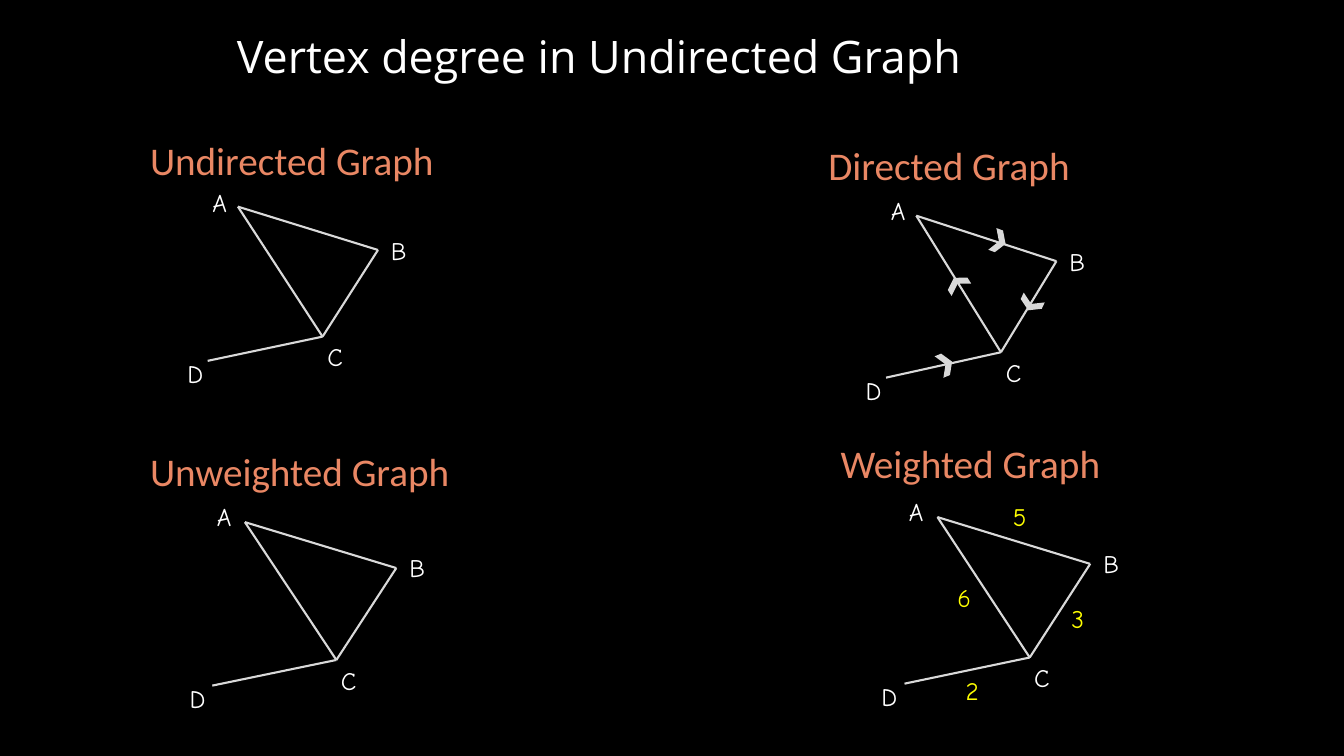
import pptx
import pptx.util
import pptx.dml.color
import pptx.enum.shapes
import pptx.enum.text
import pptx.oxml.ns
import lxml.etree

RGBColor = pptx.dml.color.RGBColor
BLACK = RGBColor(0x00, 0x00, 0x00)
WHITE = RGBColor(0xFF, 0xFF, 0xFF)
GREY = RGBColor(0xD9, 0xD9, 0xD9)
ORANGE = RGBColor(0xE9, 0x87, 0x64)
YELLOW = RGBColor(0xFF, 0xFF, 0x00)

# Grid of square cells covering the slide
COLS, ROWS = 133.33, 75
WIDTH, HEIGHT = pptx.util.Inches(13.33), pptx.util.Inches(7.5)

# Text formats
TITLE = {"name": "Open Sans", "size": pptx.util.Pt(32), "color": WHITE}
HEADING = {"name": "Calibri", "size": pptx.util.Pt(28), "color": ORANGE}
VERTEX = {"name": "Comic Neue", "size": pptx.util.Pt(18), "color": WHITE}
WEIGHT = {**VERTEX, "color": YELLOW}

# Graph geometry in cells, measured from vertex A
VERTICES = {"A": (0, 0), "B": (13.9, 4.3), "C": (8.4, 12.9), "D": (-3, 15.3)}
LABELS = {"A": (-3.5, -2.4), "B": (14.2, 2.4), "C": (7.9, 12.9), "D": (-6, 14.6)}
EDGES = ["AB", "AC", "BC", "DC"]
LABEL_SIZE = (4, 3.7)

# Heading, heading box, vertex A, horizontal and vertical scale
GRAPHS = [
    ("Undirected Graph", (13.9, 13, 31.4, 5.3), (23.6, 20.5), (1, 1)),
    ("Unweighted Graph", (13.9, 43.9, 33.7, 5.7), (24.3, 51.8), (1.08, 1.06)),
    ("Directed Graph", (81.2, 13.5, 31.4, 5.7), (90.9, 21.4), (1, 1.05)),
    ("Weighted Graph", (82.4, 43.1, 34.2, 5.7), (93, 51.3), (1.09, 1.08)),
]

# Marks on the edges: offset from vertex A, then rotation or weight
ARROWS = [(7.5, 1.4, 20.6), (10.7, 7.6, 115), (3.4, 5.6, 237.6), (2.2, 13.6, 337.7)]
WEIGHTS = [(6.5, -2.1, "5"), (1, 6, "6"), (12.3, 8.1, "3"), (1.8, 15.2, "2")]


class Deck:
    """Holds the style and the current slide."""

    def __init__(self):
        self.prs = pptx.Presentation()
        self.prs.slide_width, self.prs.slide_height = WIDTH, HEIGHT
        self.s = self.prs.slides.add_slide(self.prs.slide_layouts[5])
        fill = self.s.background.fill
        fill.solid()
        fill.fore_color.rgb = BLACK

    def grid(self, *cells):
        """Turn alternating columns and rows into lengths."""
        units = (WIDTH / COLS, HEIGHT / ROWS)
        return [round(v * units[i % 2]) for i, v in enumerate(cells)]

    def set_text(self, sp, text, style):
        tf = sp.text_frame
        frame = {
            "word_wrap": True,
            "auto_size": pptx.enum.text.MSO_AUTO_SIZE.SHAPE_TO_FIT_TEXT,
            "vertical_anchor": pptx.enum.text.MSO_ANCHOR.TOP,
        }
        for key, value in frame.items():
            setattr(tf, key, value)
        p = tf.paragraphs[0]
        p.alignment = pptx.enum.text.PP_ALIGN.LEFT
        r = p.add_run()
        r.text = text
        for key, value in style.items():
            if key == "color":
                r.font.color.rgb = value
            else:
                setattr(r.font, key, value)

    def title(self, text, box):
        sp = self.s.shapes.title
        for key, value in zip(("left", "top", "width", "height"), self.grid(*box)):
            setattr(sp, key, value)
        self.set_text(sp, text, TITLE)

    def text(self, group, text, box, style):
        sp = group.shapes.add_textbox(*self.grid(*box))
        self.set_text(sp, text, style)

    def line(self, group, start, end):
        sp = group.shapes.add_connector(
            pptx.enum.shapes.MSO_CONNECTOR.STRAIGHT, *self.grid(*start, *end))
        sp.line.color.rgb = GREY
        sp.line.width = pptx.util.Pt(1.5)
        lxml.etree.SubElement(sp.element.spPr, pptx.oxml.ns.qn("a:effectLst"))

    def chevron(self, group, box, rotation):
        sp = group.shapes.add_shape(
            pptx.enum.shapes.MSO_SHAPE.CHEVRON, *self.grid(*box))
        sp.rotation = rotation
        sp.shadow.inherit = False
        sp.fill.solid()
        sp.fill.fore_color.rgb = GREY
        sp.line.fill.background()

    def graph(self, heading, box, origin, scale):
        group = self.s.shapes.add_group_shape()
        (x, y), (sx, sy) = origin, scale
        self.text(group, heading, box, HEADING)
        points = {v: (x + dx * sx, y + dy * sy) for v, (dx, dy) in VERTICES.items()}
        for start, end in EDGES:
            self.line(group, points[start], points[end])
        w, h = LABEL_SIZE
        for name, (dx, dy) in LABELS.items():
            self.text(group, name, (x + dx * sx, y + dy * sy, w * sx, h * sy), VERTEX)
        return group


def main():
    deck = Deck()
    deck.title("Vertex degree in Undirected Graph", (22.5, 2.3, 86.5, 6.4))

    # Four graphs
    groups = {}
    for heading, box, origin, scale in GRAPHS:
        groups[heading] = deck.graph(heading, box, origin, scale), origin

    # Edge directions
    group, (x, y) = groups["Directed Graph"]
    for dx, dy, rotation in ARROWS:
        deck.chevron(group, (x + dx, y + dy, 1.4, 2.3), rotation)

    # Edge weights
    group, (x, y) = groups["Weighted Graph"]
    for dx, dy, weight in WEIGHTS:
        deck.text(group, weight, (x + dx, y + dy, 4, 4), WEIGHT)

    deck.prs.save("out.pptx")


if __name__ == "__main__":
    main()
